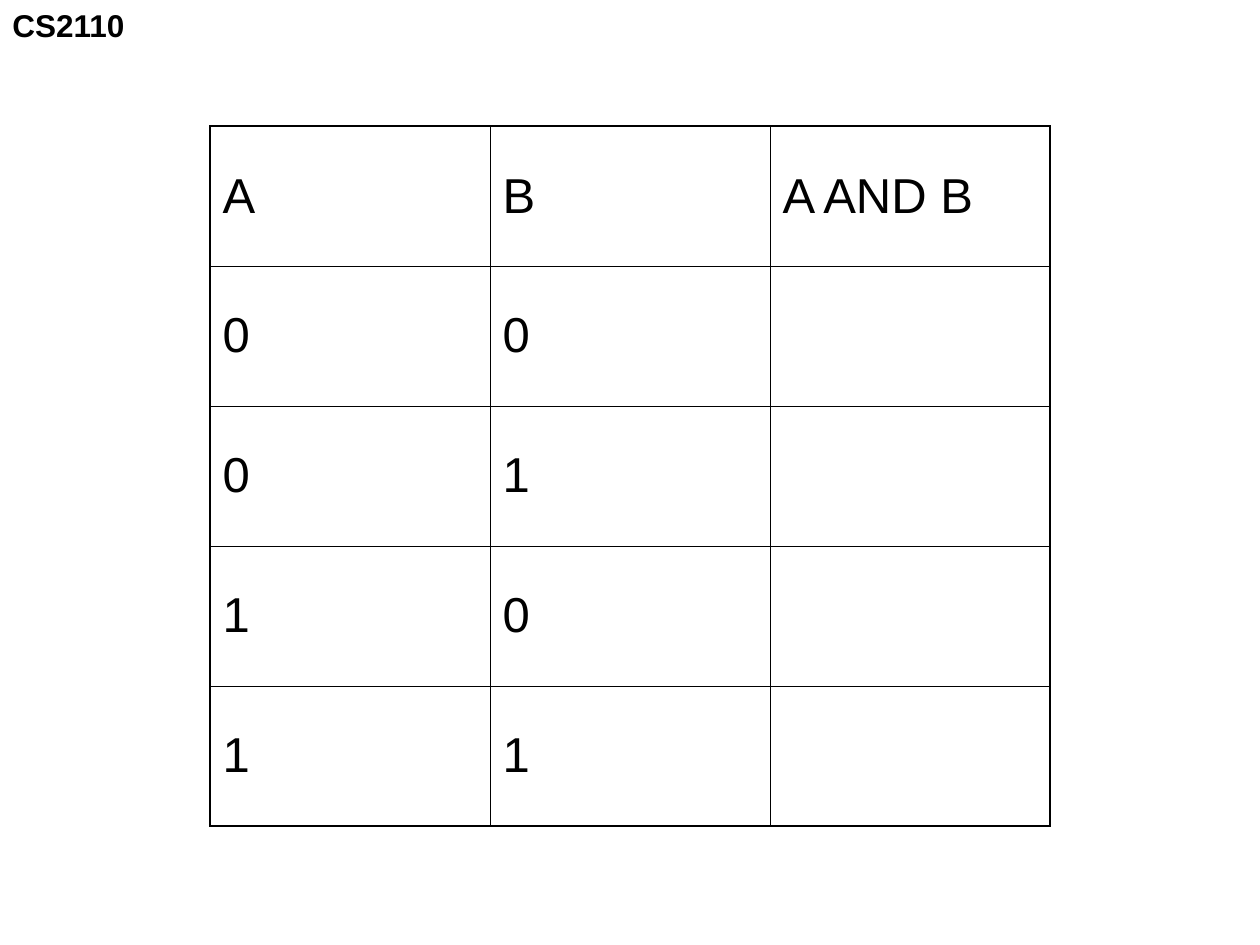
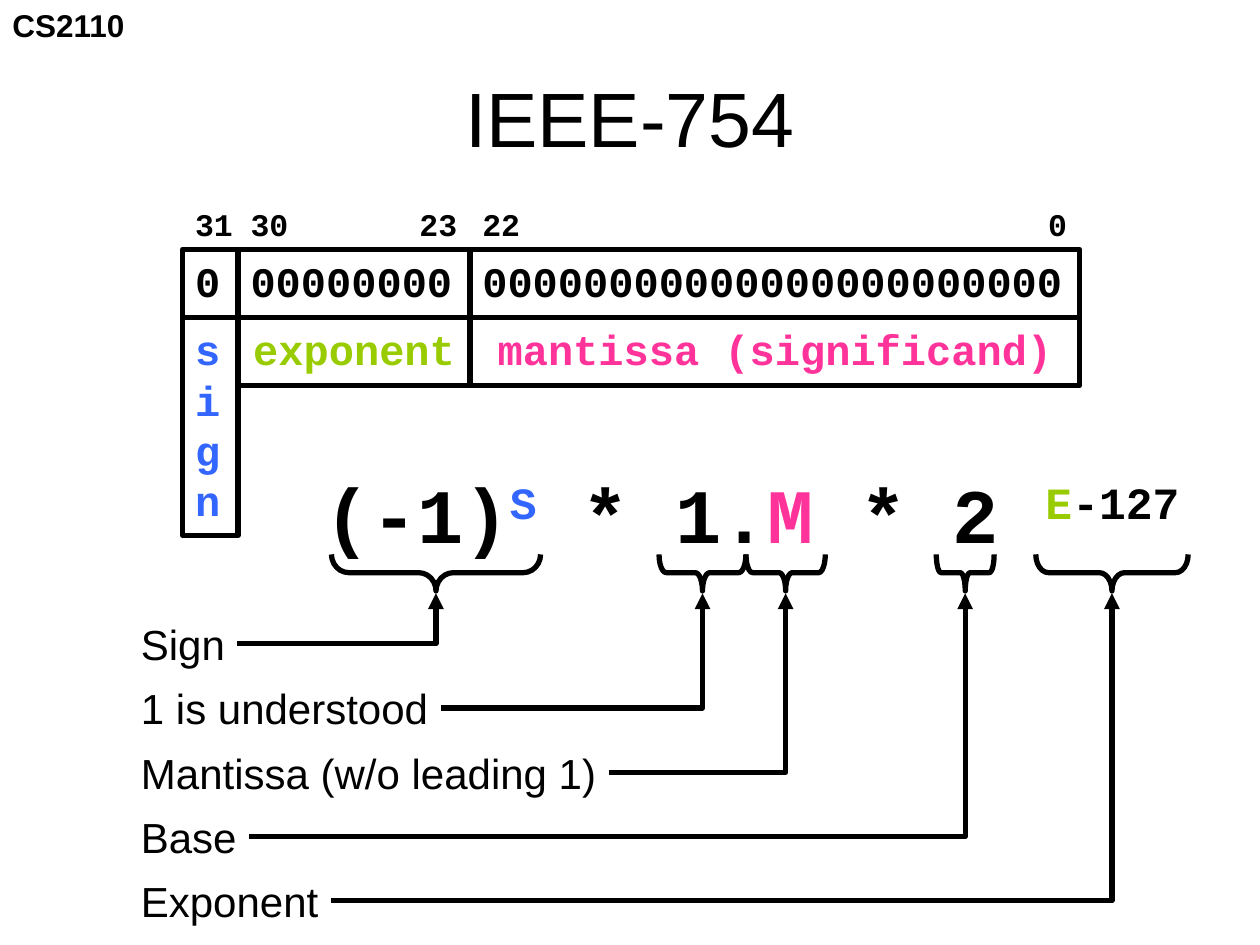
from lxml.etree import SubElement
from pptx import Presentation
from pptx.dml.color import RGBColor
from pptx.enum.shapes import MSO_CONNECTOR, MSO_SHAPE
from pptx.enum.text import MSO_ANCHOR, PP_ALIGN
from pptx.oxml.ns import qn
from pptx.util import Inches, Pt

BLACK = RGBColor(0x00, 0x00, 0x00)
SIGN_BLUE = RGBColor(0x33, 0x66, 0xFF)
EXPONENT_GREEN = RGBColor(0x99, 0xCC, 0x00)
MANTISSA_PINK = RGBColor(0xFF, 0x33, 0x99)
SANS = "Arial"
MONO = "Courier New"
LINE_WIDTH = Pt(3)
OUTER_BORDER = Pt(1.08)
INNER_BORDER = Pt(0.45)

SLIDE_WIDTH = 10
SLIDE_HEIGHT = 7.5
CELL_WIDTH = 20 / 9
CELL_HEIGHT = 10 / 9
BIT_TOP = 1.98
BIT_HEIGHT = 0.54
BRACE_TOP = 4.4
BRACE_DEPTH = 0.29
ARROW_TIP = 4.71
LABEL_LEFT = 1.02
LABEL_TOP = 4.86
LABEL_STEP = 0.51
LABEL_HEIGHT = 0.5

TRUTH_TABLE = [
    ("A", "B", "A AND B"),
    ("0", "0", ""),
    ("0", "1", ""),
    ("1", "0", ""),
    ("1", "1", ""),
]

FIELDS = [
    (1.45, 0.44, "31", "0", "s\ni\ng\nn", 1.73, PP_ALIGN.LEFT, SIGN_BLUE),
    (1.89, 1.84, "30\t23", "0" * 8, "exponent", BIT_HEIGHT, PP_ALIGN.CENTER, EXPONENT_GREEN),
    (3.73, 4.84, "22\t0", "0" * 23, "mantissa (significand)", BIT_HEIGHT,
     PP_ALIGN.CENTER, MANTISSA_PINK),
]

FORMULA = [
    ("(-1)", BLACK, False),
    ("S", SIGN_BLUE, True),
    (" * 1.", BLACK, False),
    ("M", MANTISSA_PINK, False),
    (" * 2 ", BLACK, False),
    ("E", EXPONENT_GREEN, True),
    ("-127", BLACK, True),
]

FORMULA_PARTS = [
    ("Sign", 0.86, 2.63, 4.29),
    ("1 is understood", 2.48, 5.23, 5.92),
    ("Mantissa (w/o leading 1)", 3.81, 5.92, 6.55),
    ("Base", 0.96, 7.43, 7.89),
    ("Exponent", 1.61, 8.22, 9.43),
]


def format_font(font, size, name=SANS, color=BLACK, bold=False):
    font.size = Pt(size)
    font.name = name
    font.bold = bold
    font.color.rgb = color


def write_text(shape, text, size, name=SANS, color=BLACK, bold=False,
               alignment=PP_ALIGN.LEFT, anchor=MSO_ANCHOR.TOP):
    text_frame = shape.text_frame
    text_frame.text = text
    text_frame.word_wrap = False
    text_frame.vertical_anchor = anchor
    if alignment == PP_ALIGN.LEFT:
        text_frame.margin_right = 0
    for paragraph in text_frame.paragraphs:
        paragraph.alignment = alignment
        for run in paragraph.runs:
            format_font(run.font, size, name, color, bold)


def add_text(slide, left, top, width, height, text, size, **style):
    box = slide.shapes.add_textbox(Inches(left), Inches(top), Inches(width), Inches(height))
    write_text(box, text, size, **style)
    return box


def add_outline(slide, preset, left, top, width, height):
    shape = slide.shapes.add_shape(
        preset, Inches(left), Inches(top), Inches(width), Inches(height))
    shape.shadow.inherit = False
    shape.fill.background()
    shape.line.color.rgb = BLACK
    shape.line.width = LINE_WIDTH
    return shape


def add_course_slide(presentation):
    slide = presentation.slides.add_slide(presentation.slide_layouts[6])
    add_text(slide, 0, 0, 1.1, 0.4, "CS2110", 18, bold=True)
    return slide


def set_border(cell, side, width):
    line = SubElement(cell._tc.get_or_add_tcPr(), qn(f"a:ln{side}"), w=str(width))
    fill = SubElement(line, qn("a:solidFill"))
    SubElement(fill, qn("a:srgbClr"), val=str(BLACK))


def add_truth_table(slide, rows):
    row_count, column_count = len(rows), len(rows[0])
    width = column_count * CELL_WIDTH
    table = slide.shapes.add_table(
        row_count, column_count, Inches((SLIDE_WIDTH - width) / 2), Inches(1),
        Inches(width), Inches(row_count * CELL_HEIGHT)).table
    table.first_row = False
    table.horz_banding = False
    for row, values in enumerate(rows):
        for column, value in enumerate(values):
            cell = table.cell(row, column)
            outer_sides = {"L": column == 0, "R": column == column_count - 1,
                           "T": row == 0, "B": row == row_count - 1}
            for side, is_outer in outer_sides.items():
                set_border(cell, side, OUTER_BORDER if is_outer else INNER_BORDER)
            cell.fill.background()
            cell.vertical_anchor = MSO_ANCHOR.MIDDLE
            cell.text_frame.text = value
            for run in cell.text_frame.paragraphs[0].runs:
                format_font(run.font, 28)


def add_bit_numbers(slide, left, width, text):
    box = add_text(slide, left, BIT_TOP - BIT_HEIGHT, width, BIT_HEIGHT, text, 18,
                   name=MONO, bold=True, anchor=MSO_ANCHOR.BOTTOM)
    if "\t" in text:
        box.text_frame.word_wrap = True
        properties = box.text_frame.paragraphs[0]._p.get_or_add_pPr()
        tab_list = SubElement(properties, qn("a:tabLst"))
        SubElement(tab_list, qn("a:tab"), pos=str(Inches(width - 0.2)), algn="r")


def add_field(slide, left, width, bit_numbers, bits, name, name_height, alignment, color):
    bit_box = add_outline(slide, MSO_SHAPE.RECTANGLE, left, BIT_TOP, width, BIT_HEIGHT)
    write_text(bit_box, bits, 24, MONO, bold=True)
    name_box = add_outline(
        slide, MSO_SHAPE.RECTANGLE, left, BIT_TOP + BIT_HEIGHT, width, name_height)
    write_text(name_box, name, 24, MONO, color, True, alignment)
    add_bit_numbers(slide, left, width, bit_numbers)


def add_formula(slide):
    box = add_text(slide, 2.48, 3.65, 6.98, 0.84, "", 44)
    paragraph = box.text_frame.paragraphs[0]
    for text, color, raised in FORMULA:
        run = paragraph.add_run()
        run.text = text
        format_font(run.font, 44, MONO, color, True)
        if raised:
            run._r.get_or_add_rPr().set("baseline", "30000")


def add_brace(slide, start, end):
    length = end - start
    left = (start + end - BRACE_DEPTH) / 2
    top = BRACE_TOP + (BRACE_DEPTH - length) / 2
    brace = add_outline(slide, MSO_SHAPE.RIGHT_BRACE, left, top, BRACE_DEPTH, length)
    brace.rotation = 90
    brace.adjustments[0] = length / 12 / BRACE_DEPTH


def add_bent_arrow(slide, start_x, start_y, end_x, end_y):
    connector = slide.shapes.add_connector(
        MSO_CONNECTOR.ELBOW, Inches(start_x), Inches(start_y), Inches(end_x), Inches(end_y))
    connector.line.color.rgb = BLACK
    connector.line.width = LINE_WIDTH
    properties = connector.element.spPr
    properties.find(qn("a:prstGeom")).set("prst", "bentConnector2")
    SubElement(properties.find(qn("a:ln")), qn("a:tailEnd"), type="triangle")
    SubElement(properties, qn("a:effectLst"))


def add_formula_part(slide, index, label, label_width, start, end):
    top = LABEL_TOP + index * LABEL_STEP
    add_text(slide, LABEL_LEFT, top, label_width, LABEL_HEIGHT, label, 24)
    add_brace(slide, start, end)
    add_bent_arrow(slide, LABEL_LEFT + label_width, top + LABEL_HEIGHT / 2,
                   (start + end) / 2, ARROW_TIP)


def main():
    presentation = Presentation()
    presentation.slide_width = Inches(SLIDE_WIDTH)
    presentation.slide_height = Inches(SLIDE_HEIGHT)

    add_truth_table(add_course_slide(presentation), TRUTH_TABLE)

    float_slide = add_course_slide(presentation)
    add_text(float_slide, 0.5, 0.3, 9, 1.25, "IEEE-754", 44,
             alignment=PP_ALIGN.CENTER, anchor=MSO_ANCHOR.MIDDLE)
    for field in FIELDS:
        add_field(float_slide, *field)
    add_formula(float_slide)
    for index, part in enumerate(FORMULA_PARTS):
        add_formula_part(float_slide, index, *part)

    presentation.save("out.pptx")


if __name__ == "__main__":
    main()
